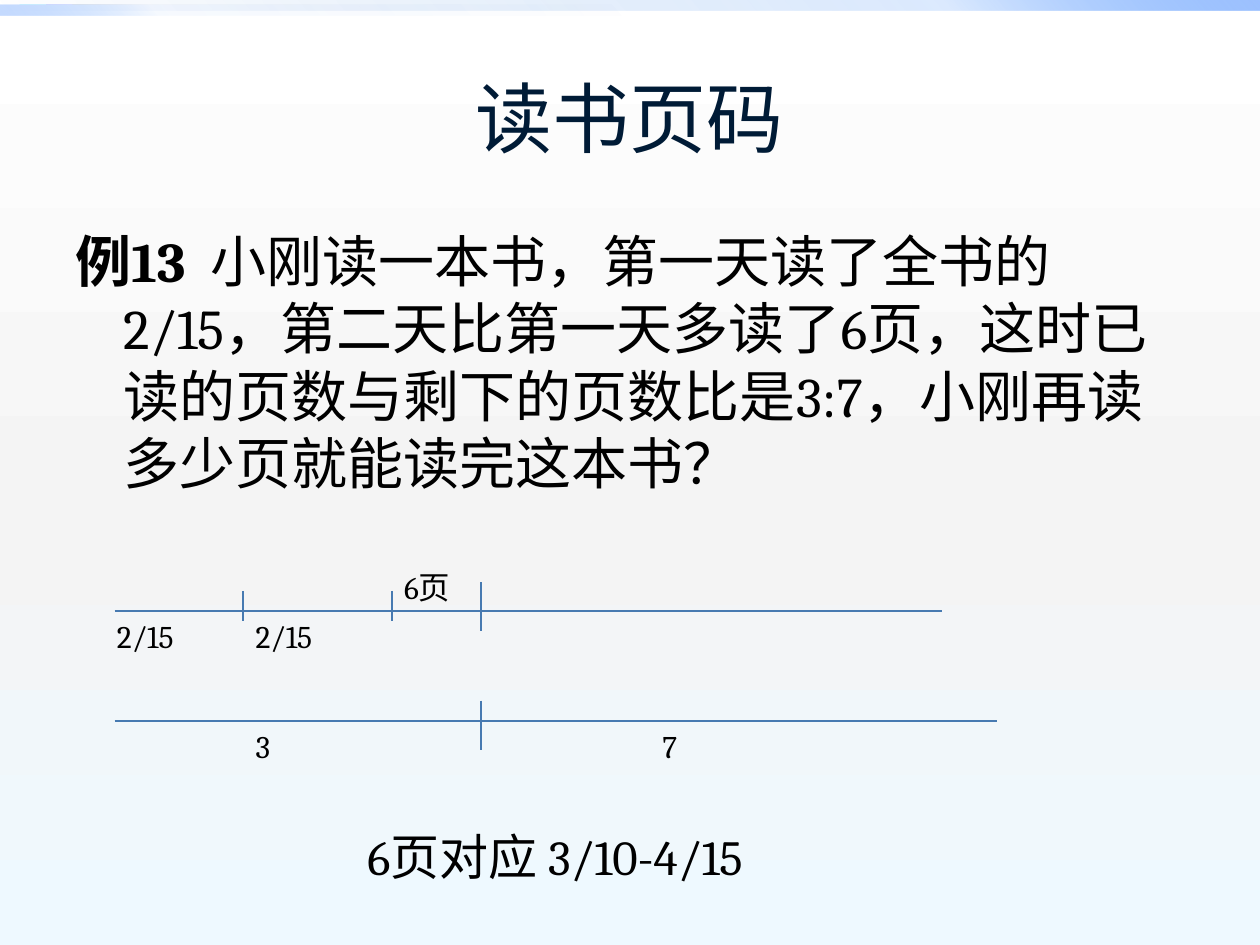
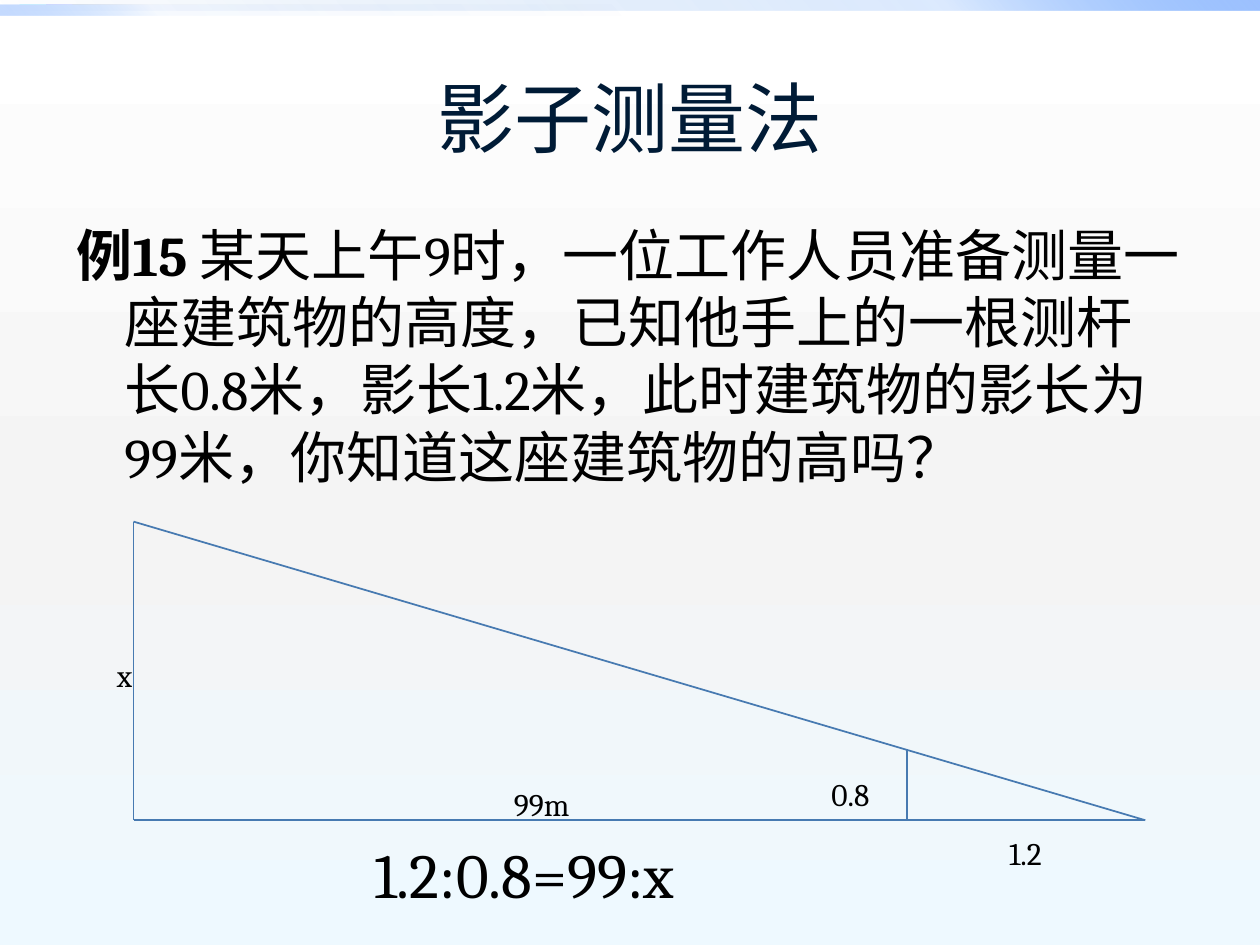
from lxml.etree import SubElement
from pptx import Presentation
from pptx.dml.color import RGBColor
from pptx.enum.shapes import MSO_CONNECTOR, MSO_SHAPE
from pptx.enum.text import MSO_ANCHOR, MSO_AUTO_SIZE, PP_ALIGN
from pptx.oxml.ns import qn
from pptx.util import Inches, Pt

# Shared style
NAVY = RGBColor(0x00, 0x1B, 0x36)
BLACK = RGBColor(0x00, 0x00, 0x00)
LINE_BLUE = RGBColor(0x47, 0x7A, 0xB1)
DEEP_BLUE = RGBColor(0x00, 0x58, 0xB7)
MID_BLUE = RGBColor(0x4F, 0x95, 0xFF)
PALE_BLUE = RGBColor(0x9E, 0xC2, 0xFF)
WHITE = RGBColor(0xFF, 0xFF, 0xFF)
LIGHT_GREY = RGBColor(0xF4, 0xF4, 0xF4)
ICE = RGBColor(0xEE, 0xF9, 0xFF)
TITLE_FONT, TEXT_FONT = "Calibri", "Cambria"
TITLE_ONLY = 5


def set_gradient(holder, stops, angle):
    """Turn a solid fill into a gradient; stops are (position, colour, opacity)."""
    solid = holder.find(qn("a:solidFill"))
    grad = holder.makeelement(qn("a:gradFill"), {"rotWithShape": "1"})
    stop_list = SubElement(grad, qn("a:gsLst"))
    for position, colour, opacity in stops:
        gs = SubElement(stop_list, qn("a:gs"), pos=str(position * 1000))
        clr = SubElement(gs, qn("a:srgbClr"), val=str(colour))
        if opacity < 100:
            SubElement(clr, qn("a:alpha"), val=str(opacity * 1000))
    SubElement(grad, qn("a:lin"), ang=str(angle * 60000), scaled="0")
    holder.replace(solid, grad)


class Deck:
    def __init__(self):
        self.prs = Presentation()
        self.prs.slide_width, self.prs.slide_height = Inches(10), Inches(7.5)
        self.s = None

    def background(self):
        master = self.prs.slide_master
        fill = master.background.fill
        fill.solid()
        fill.fore_color.rgb = WHITE
        set_gradient(master.element.find(".//" + qn("p:bgPr")),
                     [(0, WHITE, 100), (55, LIGHT_GREY, 100), (100, ICE, 100)], 90)

    def band(self, order, top, width, mid_opacity, end_opacity, angle):
        """Draw a top band and move it to the master, behind its placeholders."""
        sp = self.s.shapes.add_shape(MSO_SHAPE.RECTANGLE, 0, Inches(top),
                                     Inches(width), Inches(0.08))
        sp.name = f"Top band {order + 1}"
        sp.shadow.inherit = False
        sp.line.fill.background()
        sp.fill.solid()
        sp.fill.fore_color.rgb = PALE_BLUE
        set_gradient(sp.element.spPr,
                     [(0, DEEP_BLUE, 0), (75, MID_BLUE, mid_opacity),
                      (100, PALE_BLUE, end_opacity)], angle)
        sp.element.nvSpPr.cNvPr.set("id", str(100 + order))
        self.prs.slide_master.shapes.element.insert(2 + order, sp.element)

    def slide(self, title):
        layout = self.prs.slide_layouts[TITLE_ONLY]
        self.s = self.prs.slides.add_slide(layout)
        sp = self.s.shapes.title
        sp.left, sp.top = Inches(0.5), Inches(0.3)
        sp.width, sp.height = Inches(9), Inches(1.25)
        tf = sp.text_frame
        tf.text = title
        tf.vertical_anchor = MSO_ANCHOR.MIDDLE
        p = tf.paragraphs[0]
        p.alignment = PP_ALIGN.CENTER
        self.font(p, 44, TITLE_FONT, NAVY)

    def font(self, p, size, name=TEXT_FONT, colour=BLACK):
        p.font.size, p.font.name = Pt(size), name
        p.font.color.rgb = colour

    def text(self, text, left, top, width, height=0.4, size=18, align=PP_ALIGN.LEFT):
        sp = self.s.shapes.add_textbox(Inches(left), Inches(top),
                                       Inches(width), Inches(height))
        tf = sp.text_frame
        tf.word_wrap = True
        tf.auto_size = MSO_AUTO_SIZE.SHAPE_TO_FIT_TEXT
        p = tf.paragraphs[0]
        p.text = text
        p.alignment = align
        self.font(p, size)
        return sp

    def problem(self, number, question, left, top, height):
        """Bold example number and question, with a hanging indent."""
        sp = self.text(number, left, top, 9, height, 32)
        sp.text_frame.auto_size = MSO_AUTO_SIZE.NONE
        p = sp.text_frame.paragraphs[0]
        p.runs[0].font.bold = True
        p.add_run().text = question
        p.space_before = Pt(6.4)
        pPr = p._p.get_or_add_pPr()
        pPr.set("marL", str(Inches(0.38)))
        pPr.set("indent", str(-Inches(0.38)))

    def line(self, x1, y1, x2, y2):
        c = self.s.shapes.add_connector(MSO_CONNECTOR.STRAIGHT, Inches(x1), Inches(y1),
                                        Inches(x2), Inches(y2))
        c.line.color.rgb = LINE_BLUE
        c.line.width = Pt(1)
        SubElement(c.element.spPr, qn("a:effectLst"))


deck = Deck()
deck.background()

# Slide 1: reading a book
deck.slide("读书页码")
deck.band(0, 0, 10, 20, 100, 315)
deck.band(1, 0.04, 5, 5, 60, 135)
deck.problem("例13  ", "小刚读一本书，第一天读了全书的 2/15，第二天比第一天多读了6页，"
             "这时已读的页数与剩下的页数比是3:7，小刚再读多少页就能读完这本书？",
             0.5, 1.75, 2.55)

# Two number lines that share the mark of the pages read so far
START, DAY_1, DAY_2, READ = 0.91, 1.93, 3.11, 3.82
DAYS_Y, RATIO_Y = 4.85, 5.72
deck.line(START, DAYS_Y, 7.48, DAYS_Y)
deck.line(START, RATIO_Y, 7.91, RATIO_Y)
for x in (DAY_1, DAY_2):
    deck.line(x, DAYS_Y - 0.16, x, DAYS_Y + 0.08)
for y, rise in ((DAYS_Y, 0.23), (RATIO_Y, 0.16)):
    deck.line(READ, y - rise, READ, y - rise + 0.39)
for label, x, y in (("2/15", 0.83, DAYS_Y), ("2/15", DAY_1, DAYS_Y),
                    ("6页", DAY_2, DAYS_Y - 0.39),
                    ("3", DAY_1, RATIO_Y), ("7", 5.16, RATIO_Y)):
    deck.text(label, x, y, 1.2)
deck.text("6页对应 3/10-4/15", 0.98, 6.51, 6.85, 0.57, 28, PP_ALIGN.CENTER)

# Slide 2: measuring by shadow
deck.slide("影子测量法")
deck.problem("例15 ", "某天上午9时，一位工作人员准备测量一座建筑物的高度，已知他手上的一根测杆长"
             "0.8米，影长1.2米，此时建筑物的影长为99米，你知道这座建筑物的高吗？",
             0.51, 1.7, 2.63)
deck.text("1.2:0.8=99:x", 2.87, 6.58, 3.78, 0.71, 36)

# Similar triangles: the rod's top lies on the building's light ray
WALL, ROD, TIP = 1.06, 7.2, 9.09
ROOF, GROUND = 4.14, 6.51
rod_top = GROUND - (GROUND - ROOF) * (TIP - ROD) / (TIP - WALL)
deck.line(WALL, GROUND, TIP, GROUND)
deck.line(WALL, GROUND, WALL, ROOF)
deck.line(WALL, ROOF, TIP, GROUND)
deck.line(ROD, GROUND, ROD, rod_top)
for label, x, y in (("x", 0.83, 5.16), ("0.8", 6.5, 6.1),
                    ("1.2", 7.91, 6.57), ("99m", 3.98, 6.18)):
    deck.text(label, x, y, 0.71)

deck.prs.save("out.pptx")
